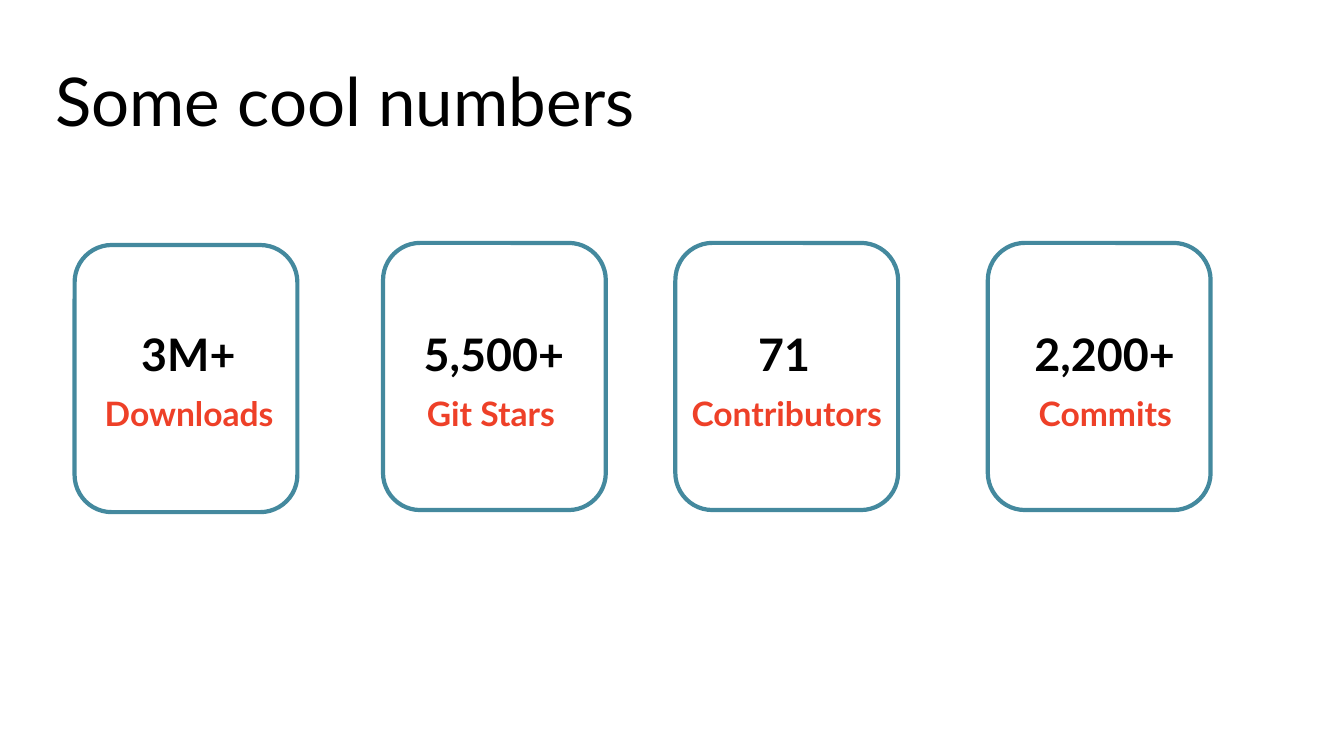
import dataclasses

import pptx
import pptx.dml.color
import pptx.enum.shapes
import pptx.enum.text
import pptx.util

Pt = pptx.util.Pt
ALIGN = pptx.enum.text.PP_ALIGN


@dataclasses.dataclass(frozen=True)
class Theme:
    font: str = "Lato"
    ink: str = "000000"
    accent: str = "EE4028"
    outline: str = "44899E"
    title_size: int = 48
    figure_size: int = 32
    label_size: int = 24
    outline_width: int = 3
    inset: float = 7.2


@dataclasses.dataclass(frozen=True)
class Stat:
    figure: str
    label: str
    card_left: float
    card_top: float
    figure_left: float
    label_left: float
    label_width: float
    label_align: ALIGN = ALIGN.CENTER


THEME = Theme()
CARD_WIDTH, CARD_HEIGHT = 159.1, 190.8
FIGURE_TOP, LABEL_TOP = 230.4, 276.5
FIGURE_WIDTH, TEXT_HEIGHT = 152.6, 45.4

STATS = [
    Stat("3M+", "Downloads", 53.3, 175, 58.3, 67.7, 152.6, ALIGN.LEFT),
    Stat("5,500+", "Git Stars", 273.6, 173.5, 276.5, 274.3, 152.6),
    Stat("71", "Contributors", 482.4, 173.5, 483.8, 478.1, 167.8),
    Stat("2,200+", "Commits", 705.6, 173.5, 712.8, 705.6, 167.8),
]


def write_line(frame, text, size, color, bold, align):
    frame.word_wrap = True
    frame.auto_size = pptx.enum.text.MSO_AUTO_SIZE.NONE
    frame.vertical_anchor = pptx.enum.text.MSO_ANCHOR.TOP
    frame.margin_left = frame.margin_right = Pt(THEME.inset)
    frame.margin_top = frame.margin_bottom = Pt(THEME.inset)
    paragraph = frame.paragraphs[0]
    paragraph.alignment = align
    paragraph.line_spacing = 0.9
    paragraph.space_before = Pt(0)
    run = paragraph.add_run()
    run.text = text
    run.font.name = THEME.font
    run.font.size = Pt(size)
    run.font.bold = bold
    run.font.color.rgb = pptx.dml.color.RGBColor.from_string(color)


def set_title(slide, text):
    title = slide.shapes.title
    title.left, title.top = Pt(32.4), Pt(41.8)
    title.width, title.height = Pt(894.2), Pt(60.5)
    write_line(title.text_frame, text, THEME.title_size, THEME.ink, False, ALIGN.LEFT)


def add_label(slide, text, left, top, width, size, color, align):
    box = slide.shapes.add_textbox(Pt(left), Pt(top), Pt(width), Pt(TEXT_HEIGHT))
    write_line(box.text_frame, text, size, color, True, align)


def add_card(slide, left, top):
    card = slide.shapes.add_shape(
        pptx.enum.shapes.MSO_SHAPE.ROUNDED_RECTANGLE,
        Pt(left), Pt(top), Pt(CARD_WIDTH), Pt(CARD_HEIGHT))
    card.shadow.inherit = False
    card.fill.background()
    card.line.color.rgb = pptx.dml.color.RGBColor.from_string(THEME.outline)
    card.line.width = Pt(THEME.outline_width)


def add_stat(slide, stat):
    add_card(slide, stat.card_left, stat.card_top)
    add_label(slide, stat.figure, stat.figure_left, FIGURE_TOP, FIGURE_WIDTH,
              THEME.figure_size, THEME.ink, ALIGN.CENTER)
    add_label(slide, stat.label, stat.label_left, LABEL_TOP, stat.label_width,
              THEME.label_size, THEME.accent, stat.label_align)


def main():
    deck = pptx.Presentation()
    deck.slide_width, deck.slide_height = Pt(960), Pt(540)
    slide = deck.slides.add_slide(deck.slide_layouts.get_by_name("Title Only"))
    set_title(slide, "Some cool numbers")
    for stat in STATS:
        add_stat(slide, stat)
    deck.save("out.pptx")


if __name__ == "__main__":
    main()
